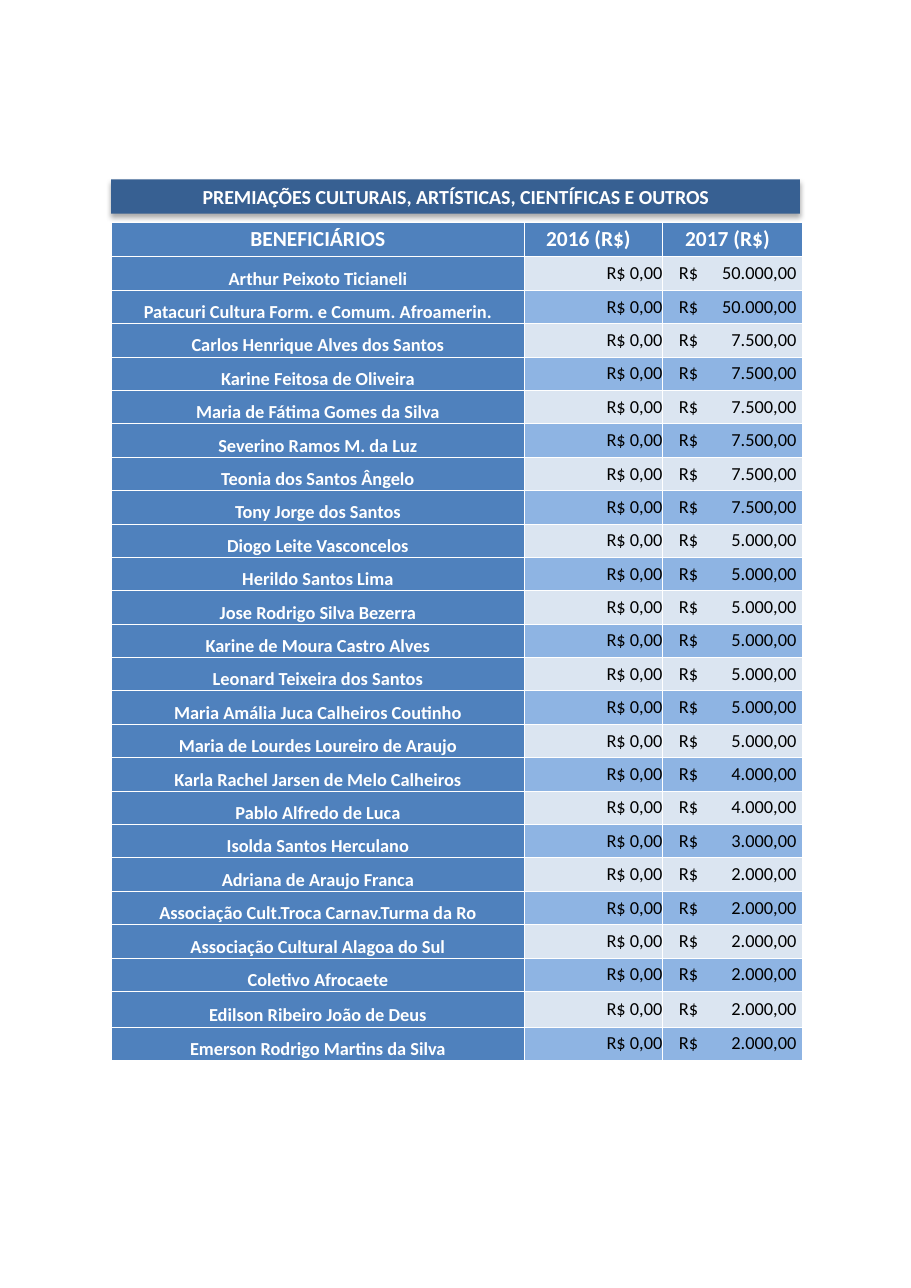
from lxml import etree
from pptx import Presentation
from pptx.dml.color import RGBColor
from pptx.enum.shapes import MSO_SHAPE
from pptx.enum.text import MSO_ANCHOR, PP_ALIGN
from pptx.oxml import parse_xml
from pptx.oxml.ns import nsdecls, qn
from pptx.util import Cm, Pt

RECT = MSO_SHAPE.RECTANGLE
MIDDLE, BOTTOM = MSO_ANCHOR.MIDDLE, MSO_ANCHOR.BOTTOM
LEFT, CENTER, RIGHT = PP_ALIGN.LEFT, PP_ALIGN.CENTER, PP_ALIGN.RIGHT

FONT = "Calibri"
WHITE, BLACK = "FFFFFF", "000000"
TITLE_BLUE, BLUE = "376092", "4F81BD"
BANDS = ["DBE5F1", "8EB4E3"]

HEADERS = ["BENEFICIÁRIOS", "2016 (R$)", "2017 (R$)"]
AWARDS = [
    ("Arthur Peixoto Ticianeli", "50.000,00"),
    ("Patacuri Cultura Form. e Comum. Afroamerin.", "50.000,00"),
    ("Carlos Henrique Alves dos Santos", "7.500,00"),
    ("Karine Feitosa de Oliveira", "7.500,00"),
    ("Maria de Fátima Gomes da Silva", "7.500,00"),
    ("Severino Ramos M. da Luz", "7.500,00"),
    ("Teonia dos Santos Ângelo", "7.500,00"),
    ("Tony Jorge dos Santos", "7.500,00"),
    ("Diogo Leite Vasconcelos", "5.000,00"),
    ("Herildo Santos Lima", "5.000,00"),
    ("Jose Rodrigo Silva Bezerra", "5.000,00"),
    ("Karine de Moura Castro Alves", "5.000,00"),
    ("Leonard Teixeira dos Santos", "5.000,00"),
    ("Maria Amália Juca Calheiros Coutinho", "5.000,00"),
    ("Maria de Lourdes Loureiro de Araujo", "5.000,00"),
    ("Karla Rachel Jarsen de Melo Calheiros", "4.000,00"),
    ("Pablo Alfredo de Luca", "4.000,00"),
    ("Isolda Santos Herculano", "3.000,00"),
    ("Adriana de Araujo Franca", "2.000,00"),
    ("Associação Cult.Troca Carnav.Turma da Ro", "2.000,00"),
    ("Associação Cultural Alagoa do Sul", "2.000,00"),
    ("Coletivo Afrocaete", "2.000,00"),
    ("Edilson Ribeiro João de Deus", "2.000,00"),
    ("Emerson Rodrigo Martins da Silva", "2.000,00"),
]


def rgb(value):
    return RGBColor.from_string(value)


def fill_cell(cell, text, fill, color, size, bold, align, anchor=MIDDLE,
              left=0, right=0):
    """Write one table cell with thin white borders."""
    tcPr = cell._tc.get_or_add_tcPr()
    for side in ("lnL", "lnR", "lnT", "lnB"):
        tcPr.append(parse_xml(
            f'<a:{side} {nsdecls("a")} w="6350"><a:solidFill>'
            f'<a:srgbClr val="{WHITE}"/></a:solidFill></a:{side}>'))
    cell.fill.solid()
    cell.fill.fore_color.rgb = rgb(fill)
    cell.vertical_anchor = anchor
    cell.margin_left, cell.margin_right = Cm(left), Cm(right)
    cell.margin_top = cell.margin_bottom = 0
    p = cell.text_frame.paragraphs[0]
    p.text = text
    p.alignment = align
    for r in p.runs:
        r.font.name, r.font.size, r.font.bold = FONT, Pt(size), bold
        r.font.color.rgb = rgb(color)
    return p


prs = Presentation()
prs.slide_width, prs.slide_height = Cm(21), Cm(29.7)
s = prs.slides.add_slide(prs.slide_layouts[6])

# Title bar with a soft shadow below
sp = s.shapes.add_shape(RECT, Cm(2.56), Cm(4.14), Cm(15.88), Cm(0.79))
sp.fill.solid()
sp.fill.fore_color.rgb = rgb(TITLE_BLUE)
sp.line.fill.background()
sp.shadow.inherit = False
sp._element.spPr.find(qn("a:effectLst")).append(parse_xml(
    f'<a:outerShdw {nsdecls("a")} blurRad="{Pt(3.5)}" dist="{Pt(2.2)}" '
    f'dir="5400000" rotWithShape="0"><a:srgbClr val="{BLACK}">'
    '<a:alpha val="32000"/></a:srgbClr></a:outerShdw>'))
tf = sp.text_frame
tf.word_wrap = True
tf.vertical_anchor = MIDDLE
tf.margin_top = tf.margin_bottom = 0
p = tf.paragraphs[0]
p.text = "PREMIAÇÕES CULTURAIS, ARTÍSTICAS, CIENTÍFICAS E OUTROS"
p.alignment = CENTER
r = p.runs[0]
r.font.name, r.font.size, r.font.bold = FONT, Pt(13), True
r.font.color.rgb = rgb(WHITE)

# Table grid
table = s.shapes.add_table(len(AWARDS) + 1, 3, Cm(2.57), Cm(5.12),
                           Cm(15.93), Cm(19.3)).table
for column, width in zip(table.columns, (9.52, 3.18, 3.23)):
    column.width = Cm(width)
for row in table.rows:
    row.height = Cm(0.77)
table.rows[0].height = Cm(0.8)
table.rows[len(AWARDS) - 1].height = Cm(0.82)

# Header row
for col, header in enumerate(HEADERS):
    fill_cell(table.cell(0, col), header, BLUE, WHITE, 14, True, CENTER,
              right=0.23 if col else 0)

# Beneficiaries
for row, (name, amount) in enumerate(AWARDS, start=1):
    band = BANDS[(row - 1) % 2]
    p = fill_cell(table.cell(row, 0), name, BLUE, WHITE, 12, True, CENTER,
                  BOTTOM, left=0.13, right=0.13)
    p.line_spacing = 1.15
    fill_cell(table.cell(row, 1), "R$ 0,00", band, BLACK, 12, False, RIGHT)
    p = fill_cell(table.cell(row, 2), f"R$\t{amount}", band, BLACK, 12, False,
                  LEFT, left=0.38)
    # Right tab stop keeps the amounts aligned
    tabs = etree.SubElement(p._p.get_or_add_pPr(), qn("a:tabLst"))
    etree.SubElement(tabs, qn("a:tab"), pos=str(Cm(2.71)), algn="r")

prs.save("out.pptx")
